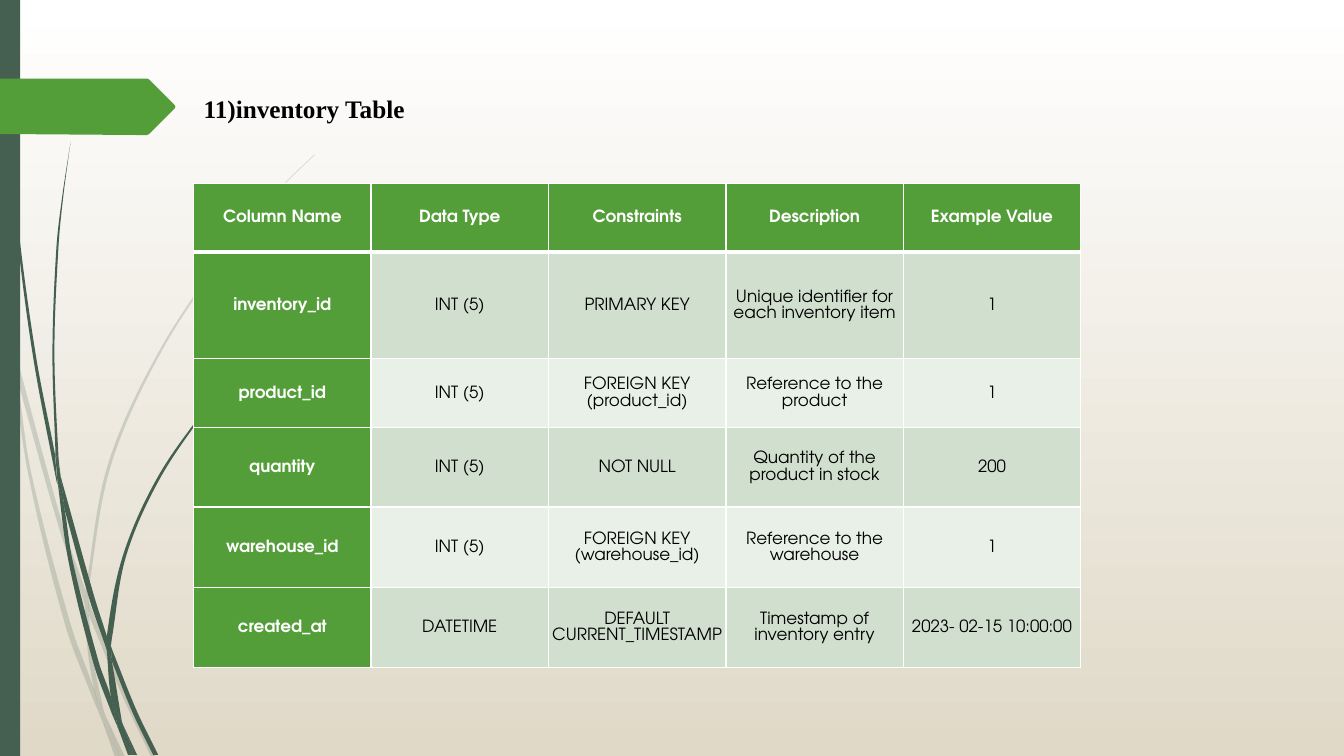
import math

from lxml import etree
from pptx import Presentation
from pptx import util as u
from pptx.dml.color import RGBColor
from pptx.enum import shapes, text
from pptx.oxml import ns

PX = 9144  # EMU in one px, 100 px to the inch

WHITE = RGBColor(0xFF, 0xFF, 0xFF)
BLACK = RGBColor(0x00, 0x00, 0x00)
SAND = RGBColor(0xE0, 0xD9, 0xC8)
PINE = RGBColor(0x45, 0x5F, 0x51)
GREEN = RGBColor(0x54, 0x9E, 0x39)
BANDS = [RGBColor(0xD1, 0xDF, 0xCE), RGBColor(0xE9, 0xF0, 0xE8)]

TITLE_FONT = "Times New Roman"
TABLE_FONT = "TeX Gyre Adventor"

# Grass blades: the points of one edge, then of the other edge back
PALE_BLADES = [
    ([(0, 282), (9, 322), (11, 350)], [(10, 344), (0, 299)]),
    ([(14, 345), (62, 520), (85, 586)], [(84, 599), (58, 522), (17, 376)]),
    ([(88, 596), (92, 607), (127, 692), (155, 751)],
     [(150, 751), (123, 694), (88, 610)]),
    ([(105, 711), (124, 751)], [(119, 751)]),
    ([(11, 350), (17, 376), (31, 469), (70, 619), (93, 683), (99, 707), (101, 714)],
     [(92, 693), (65, 621), (28, 470), (11, 350)]),
    ([(84, 599), (88, 610), (91, 646), (103, 706), (105, 711)],
     [(96, 692), (93, 683), (87, 646), (84, 599)]),
    ([(88, 596), (88, 584), (110, 462), (160, 349), (229, 245), (268, 198),
      (290, 175), (312, 154)],
     [(312, 153), (289, 175), (268, 197), (228, 244), (158, 348), (107, 461),
      (85, 584), (85, 586)]),
    ([(101, 714), (119, 751)], [(114, 751)]),
    ([(85, 586), (88, 596), (88, 610)], [(88, 608), (84, 599)]),
    ([(93, 683), (96, 692), (105, 711), (119, 751)], [(101, 714), (99, 707)]),
]
DARK_BLADES = [
    ([(3, 0), (4, 48), (7, 110), (17, 233), (33, 355), (56, 477), (57, 481)],
     [(55, 457), (55, 453), (36, 355), (19, 232), (8, 109), (5, 48), (4, 0)]),
    ([(60, 472), (93, 590), (106, 631)], [(106, 645), (88, 592), (64, 505)]),
    ([(110, 641), (113, 649), (136, 706), (157, 749)],
     [(152, 749), (132, 708), (111, 656)]),
    ([(57, 477), (64, 505), (72, 556), (98, 657), (110, 691), (116, 717), (117, 722)],
     [(111, 708), (93, 659), (68, 557), (57, 477)]),
    ([(70, 141), (63, 193), (58, 245), (54, 349), (58, 453), (60, 472)],
     [(55, 449), (52, 349), (56, 245), (62, 193), (70, 141)]),
    ([(122, 719), (136, 749)], [(133, 749)]),
    ([(55, 449), (60, 472), (64, 505)], [(57, 477), (55, 453)]),
    ([(111, 633), (125, 552), (158, 476), (205, 406), (231, 374), (245, 359),
      (261, 344)],
     [(260, 344), (245, 358), (231, 373), (204, 405), (156, 474), (122, 551),
      (106, 631), (110, 641)]),
    ([(117, 722), (131, 749)], [(127, 749)]),
    ([(106, 645), (109, 651), (111, 656), (121, 716), (122, 719)],
     [(116, 706), (110, 691), (106, 645)]),
    ([(106, 631), (110, 641), (111, 656)], [(109, 651), (106, 645), (106, 633)]),
    ([(110, 691), (116, 706), (122, 719), (133, 749)],
     [(131, 749), (117, 722), (116, 717)]),
]
ARROW_TAB = [(0, 78), (146, 78), (148, 79), (173, 104), (174, 106), (173, 108),
             (148, 133), (146, 134), (136, 134), (0, 133)]

ROW_HEIGHTS = [68, 106, 68, 79, 80, 79]
INVENTORY = [
    ["Column Name", "Data Type", "Constraints", "Description", "Example Value"],
    ["inventory_id", "INT (5)", "PRIMARY KEY",
     "Unique identifier for each inventory item", "1"],
    ["product_id", "INT (5)", "FOREIGN KEY (product_id)",
     "Reference to the product", "1"],
    ["quantity", "INT (5)", "NOT NULL", "Quantity of the product in stock", "200"],
    ["warehouse_id", "INT (5)", "FOREIGN KEY (warehouse_id)",
     "Reference to the warehouse", "1"],
    ["created_at", "DATETIME", "DEFAULT CURRENT_TIMESTAMP",
     "Timestamp of inventory entry", "2023- 02-15 10:00:00"],
]


def px(length):
    return u.Emu(round(length * PX))


def paint(shape, color, alpha=None):
    shape.shadow.inherit = False
    shape.fill.solid()
    shape.fill.fore_color.rgb = color
    shape.line.fill.background()
    if alpha is not None:
        clr = shape.fill._xPr.find(".//" + ns.qn("a:srgbClr"))
        etree.SubElement(clr, ns.qn("a:alpha"), val=str(alpha * 1000))


def add_outline(slide, points):
    vertices = [(px(x), px(y)) for x, y in points]
    builder = slide.shapes.build_freeform(*vertices[0])
    builder.add_line_segments(vertices[1:], close=True)
    return builder.convert_to_shape()


def smooth_edge(points):
    """Control and end points of the Bezier curves through an edge."""
    padded = [points[0], *points, points[-1]]
    curve = []
    for a, b, c, d in zip(padded, padded[1:], padded[2:], padded[3:]):
        reach = math.dist(b, c) / 3
        out, back = reach / math.dist(a, c), reach / math.dist(b, d)
        curve += [(b[0] + (c[0] - a[0]) * out, b[1] + (c[1] - a[1]) * out),
                  (c[0] - (d[0] - b[0]) * back, c[1] - (d[1] - b[1]) * back), c]
    return curve


def add_blade(slide, edge, edge_back, color, alpha=None):
    tip, turn = edge[-1], edge_back[0]
    blade = add_outline(slide, [edge[0], *smooth_edge(edge), tip, turn, turn,
                                *smooth_edge(edge_back)])
    lines = list(blade._element.iter(ns.qn("a:lnTo")))
    for first in range(0, len(lines) - 2, 3):
        curve = etree.Element(ns.qn("a:cubicBezTo"))
        lines[first].addprevious(curve)
        for line in lines[first:first + 3]:
            curve.append(line[0])
            line.getparent().remove(line)
    paint(blade, color, alpha)


def write(frame, words, font, size, color, bold, align, line_spacing, space_after):
    frame.word_wrap = True
    paragraph = frame.paragraphs[0]
    paragraph.alignment = align
    paragraph.line_spacing = line_spacing
    paragraph.space_after = u.Pt(space_after)
    run = paragraph.add_run()
    run.text = words
    run.font.name = font
    run.font.size = u.Pt(size)
    run.font.bold = bold
    run.font.color.rgb = color


def add_borders(cell, **widths):
    properties = cell._tc.get_or_add_tcPr()
    for side in "LRTB":
        line = etree.SubElement(properties, ns.qn("a:ln" + side),
                                w=str(u.Pt(widths.get(side, 1))))
        fill = etree.SubElement(line, ns.qn("a:solidFill"))
        etree.SubElement(fill, ns.qn("a:srgbClr"), val=str(WHITE))


def add_inventory_table(slide, left, top, width):
    table = slide.shapes.add_table(
        len(INVENTORY), len(INVENTORY[0]), px(left), px(top), px(width),
        px(sum(ROW_HEIGHTS))).table
    table.horz_banding = False
    for r, (height, values) in enumerate(zip(ROW_HEIGHTS, INVENTORY)):
        table.rows[r].height = px(height)
        for c, value in enumerate(values):
            cell = table.cell(r, c)
            heading = r == 0 or c == 0
            add_borders(cell, B=3 if r == 0 else 1, T=3 if r == 1 else 1)
            cell.fill.solid()
            cell.fill.fore_color.rgb = GREEN if heading else BANDS[(r - 1) % 2]
            cell.vertical_anchor = text.MSO_ANCHOR.MIDDLE
            cell.margin_left = cell.margin_right = px(1)
            cell.margin_top = cell.margin_bottom = px(1)
            write(cell.text_frame, value, font=TABLE_FONT, size=12,
                  color=WHITE if heading else BLACK, bold=heading,
                  align=text.PP_ALIGN.CENTER, line_spacing=1.07, space_after=8)


def set_background(slide):
    fill = slide.background.fill
    fill.gradient()
    fill.gradient_angle = 270
    for stop, position, color in zip(fill.gradient_stops, (0, 1), (WHITE, SAND)):
        stop.position = position
        stop.color.rgb = color


def set_title(slide, words):
    title = slide.shapes.title
    title.left, title.top, title.width, title.height = px(192), px(86), px(667), px(40)
    title.text_frame.vertical_anchor = text.MSO_ANCHOR.TOP
    write(title.text_frame, words, font=TITLE_FONT, size=18, color=BLACK, bold=True,
          align=text.PP_ALIGN.JUSTIFY, line_spacing=1.05, space_after=10.1)


def main():
    presentation = Presentation()
    presentation.slide_width, presentation.slide_height = px(1333), px(750)
    slide = presentation.slides.add_slide(presentation.slide_layouts[5])
    set_background(slide)
    # Grass, side bar and arrow tab
    for blades, alpha in ((PALE_BLADES, 20), (DARK_BLADES, None)):
        for edge, edge_back in blades:
            add_blade(slide, edge, edge_back, PINE, alpha)
    bar = slide.shapes.add_shape(shapes.MSO_SHAPE.RECTANGLE, 0, 0, px(20), px(750))
    paint(bar, PINE)
    paint(add_outline(slide, ARROW_TAB), GREEN)
    # Title and table
    set_title(slide, "11)inventory Table")
    add_inventory_table(slide, 192, 182, 880)
    presentation.save("out.pptx")


if __name__ == "__main__":
    main()
